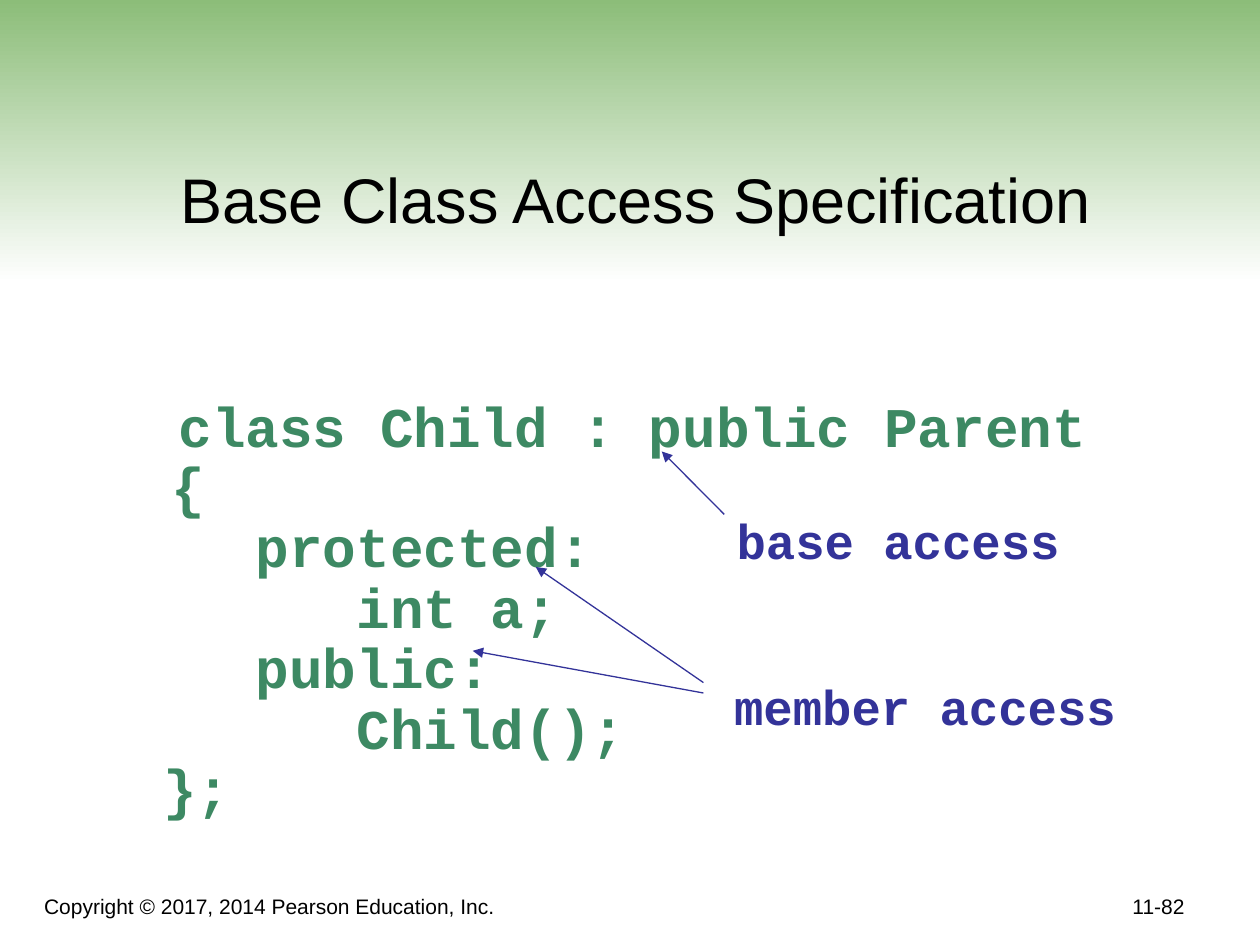
from dataclasses import dataclass

from lxml import etree
from pptx import Presentation
from pptx.dml.color import RGBColor
from pptx.enum.shapes import MSO_CONNECTOR, MSO_SHAPE
from pptx.enum.text import MSO_ANCHOR, PP_ALIGN
from pptx.oxml.ns import qn
from pptx.util import Cm, Pt

LEFT, CENTER, RIGHT = PP_ALIGN.LEFT, PP_ALIGN.CENTER, PP_ALIGN.RIGHT
TOP, BOTTOM = MSO_ANCHOR.TOP, MSO_ANCHOR.BOTTOM
STRAIGHT, RECTANGLE = MSO_CONNECTOR.STRAIGHT, MSO_SHAPE.RECTANGLE


@dataclass(frozen=True)
class Theme:
    text: RGBColor = RGBColor(0x00, 0x00, 0x00)
    code: RGBColor = RGBColor(0x3D, 0x89, 0x63)
    note: RGBColor = RGBColor(0x33, 0x33, 0x99)
    band_top: RGBColor = RGBColor(0x8C, 0xBD, 0x79)
    band_bottom: RGBColor = RGBColor(0xFF, 0xFF, 0xFF)
    sans: str = "Arial"
    mono: str = "Courier New"
    title_size: float = 36
    code_size: float = 32
    code_pitch: float = 34.5
    note_size: float = 28
    footer_size: float = 12
    arrow_width: float = 0.75


THEME = Theme()

# All positions are in centimetres: left, top, width, height.
PAGE_SIZE = (25.4, 19.05)
BAND_HEIGHT = 5.72
TITLE = ("Base Class Access Specification", (1.06, 1.7, 23.5, 3.18))
CODE_AREA = (0.84, 7.9, 23.04, 9.25)
CODE = [  # text, left indent
    ("class Child : public Parent", 2.51),
    ("{", 2.37),
    ("      protected:", 0),
    ("         int a;", 0),
    ("      public:", 0),
    ("         Child();", 0),
    ("};", 2.2),
]
NOTES = [
    ("base access", (14.6, 10.16, 7.83, 1.45)),
    ("member access", (14.55, 13.51, 9.58, 1.45)),
]
ARROWS = [  # start, tip
    ((14.6, 10.37), (13.34, 9.1)),
    ((14.18, 13.76), (10.8, 11.43)),
    ((14.18, 13.97), (9.53, 13.12)),
]
FOOTERS = [
    ("Copyright © 2017, 2014 Pearson Education, Inc.", (0.64, 17.57, 17.15, 1.07), LEFT),
    ("11-82", (18.84, 17.37, 5.29, 1.27), RIGHT),
]


def add_band(page):
    band = page.shapes.add_shape(RECTANGLE, 0, 0, Cm(PAGE_SIZE[0]), Cm(BAND_HEIGHT))
    band.shadow.inherit = False
    band.line.fill.background()
    band.fill.gradient()
    band.fill.gradient_angle = 270
    colors = (THEME.band_top, THEME.band_bottom)
    for stop, color, position in zip(band.fill.gradient_stops, colors, (0, 1)):
        stop.color.rgb = color
        stop.position = position


def add_frame(page, area, anchor=TOP):
    frame = page.shapes.add_textbox(*map(Cm, area)).text_frame
    frame.word_wrap = True
    frame.vertical_anchor = anchor
    return frame


def add_span(para, text, face, size, color, bold=False):
    span = para.add_run()
    span.text = text
    font = span.font
    font.name, font.size, font.bold = face, Pt(size), bold
    font.color.rgb = color


def add_label(page, text, area, size, align):
    para = add_frame(page, area, BOTTOM).paragraphs[0]
    para.alignment = align
    add_span(para, text, THEME.sans, size, THEME.text)


def add_code(page):
    frame = add_frame(page, CODE_AREA)
    for index, (text, indent) in enumerate(CODE):
        para = frame.add_paragraph() if index else frame.paragraphs[0]
        para.line_spacing = Pt(THEME.code_pitch)
        para._p.get_or_add_pPr().set("marL", str(Cm(indent)))
        add_span(para, text, THEME.mono, THEME.code_size, THEME.code, bold=True)


def add_note(page, text, area):
    para = add_frame(page, area).paragraphs[0]
    add_span(para, text, THEME.mono, THEME.note_size, THEME.note, bold=True)


def add_arrow(page, start, tip):
    arrow = page.shapes.add_connector(STRAIGHT, *map(Cm, start + tip))
    arrow.line.color.rgb = THEME.note
    arrow.line.width = Pt(THEME.arrow_width)
    etree.SubElement(arrow.line._get_or_add_ln(), qn("a:tailEnd"), type="triangle")
    etree.SubElement(arrow._element.spPr, qn("a:effectLst"))


def main():
    deck = Presentation()
    deck.slide_width, deck.slide_height = map(Cm, PAGE_SIZE)
    page = deck.slides.add_slide(deck.slide_layouts[6])
    add_band(page)
    add_label(page, *TITLE, THEME.title_size, CENTER)
    add_code(page)
    for text, area in NOTES:
        add_note(page, text, area)
    for start, tip in ARROWS:
        add_arrow(page, start, tip)
    for text, area, align in FOOTERS:
        add_label(page, text, area, THEME.footer_size, align)
    deck.save("out.pptx")


if __name__ == "__main__":
    main()
